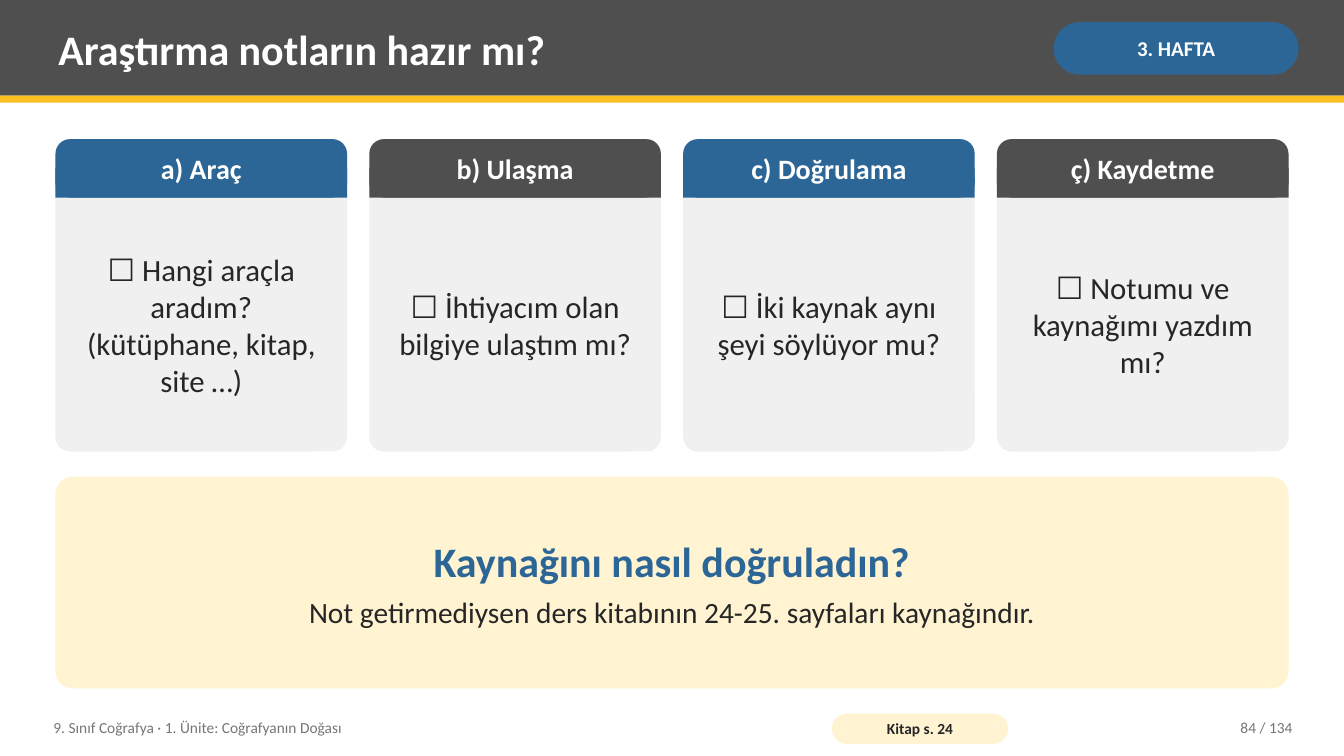
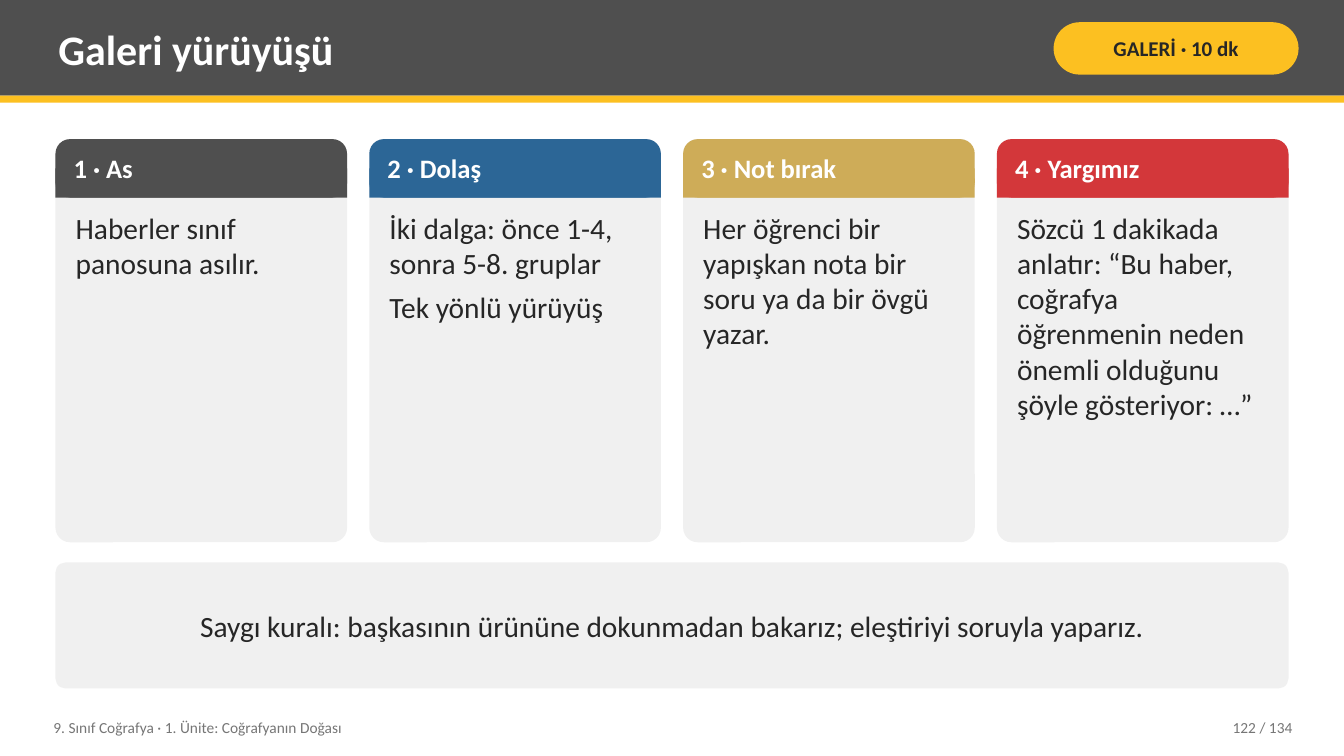
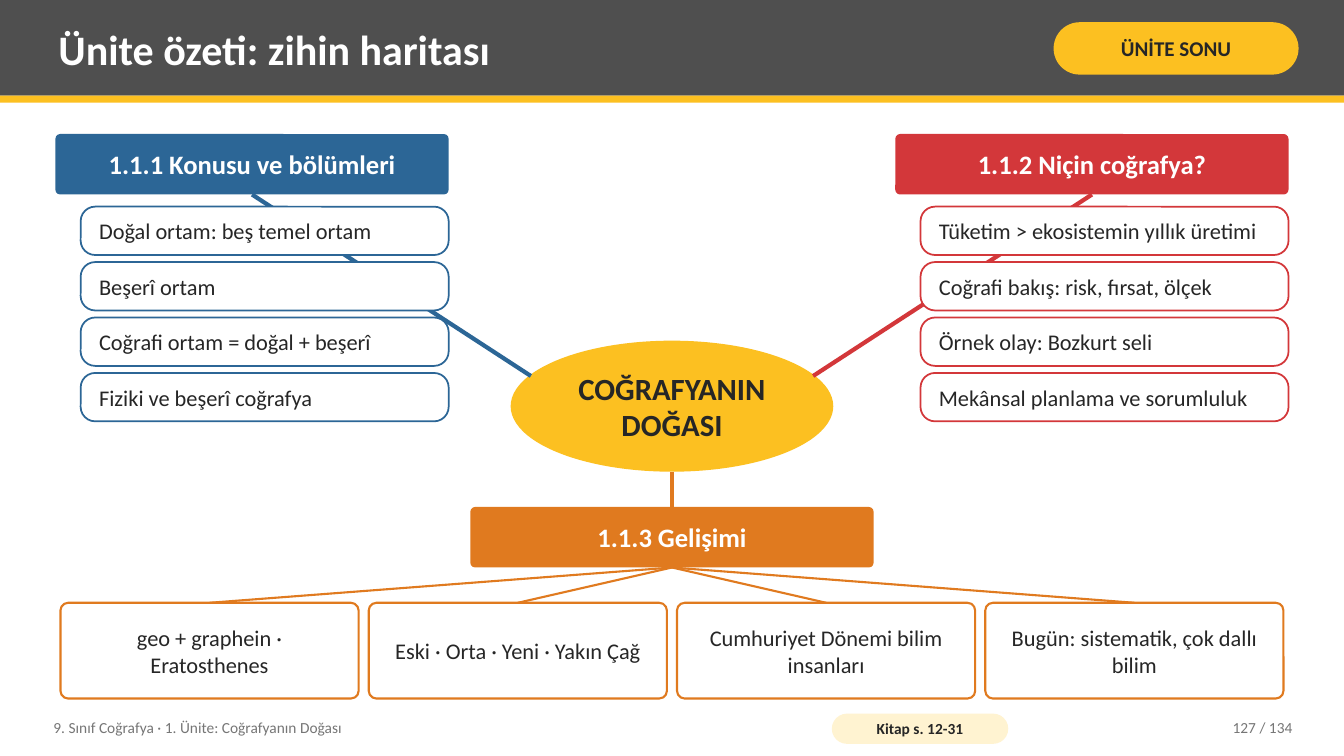
from dataclasses import dataclass

import pptx
import pptx.dml.color
import pptx.enum.shapes
import pptx.enum.text
import pptx.oxml.ns
import pptx.util
from lxml import etree

Inches = pptx.util.Inches
SHAPES = pptx.enum.shapes.MSO_SHAPE
ALIGN = pptx.enum.text.PP_ALIGN
ANCHOR = pptx.enum.text.MSO_ANCHOR

# Shared look
FONT = "Calibri"
DARK, BLUE, YELLOW, GOLD = "4F4F4F", "2C6696", "FCC021", "CEAC58"
RED, ORANGE, CREAM, PALE = "D3373A", "E07A1F", "FFF3D1", "F0F0F0"
WHITE, INK, MUTED = "FFFFFF", "262626", "767676"
SLIDE_WIDTH, SLIDE_HEIGHT = 13.33, 7.5
MARGIN = 0.55
CONTENT_WIDTH = 12.23
SLIDE_TOTAL = 134
COURSE = "9. Sınıf Coğrafya · 1. Ünite: Coğrafyanın Doğası"
BOX_INSET, LABEL_INSET = (0.14, 0.08), (0.08, 0.04)


@dataclass
class Line:
    text: str
    size: float
    color: str = INK
    bold: bool = False


def rgb(color):
    return pptx.dml.color.RGBColor.from_string(color)


def columns(left, width, count, gap):
    """Return the left edges and the common width of equal columns."""
    column_width = (width - gap * (count - 1)) / count
    return [left + i * (column_width + gap) for i in range(count)], column_width


def write(shape, lines, align=ALIGN.CENTER, anchor=ANCHOR.MIDDLE, inset=BOX_INSET):
    frame = shape.text_frame
    frame.word_wrap = True
    frame.vertical_anchor = anchor
    frame.margin_left = frame.margin_right = Inches(inset[0])
    frame.margin_top = frame.margin_bottom = Inches(inset[1])
    for i, line in enumerate(lines):
        paragraph = frame.add_paragraph() if i else frame.paragraphs[0]
        paragraph.text = line.text
        paragraph.alignment = align
        if i < len(lines) - 1:
            paragraph.space_after = pptx.util.Pt(6)
        paragraph.font.name = FONT
        paragraph.font.size = pptx.util.Pt(line.size)
        paragraph.font.bold = line.bold
        paragraph.font.color.rgb = rgb(line.color)


def add_box(slide, box, fill, radius=None, outline=None, outline_width=1.25,
            kind=SHAPES.ROUNDED_RECTANGLE):
    shape = slide.shapes.add_shape(kind, *map(Inches, box))
    shape.shadow.inherit = False
    shape.fill.solid()
    shape.fill.fore_color.rgb = rgb(fill)
    if outline:
        shape.line.color.rgb = rgb(outline)
        shape.line.width = pptx.util.Pt(outline_width)
    else:
        shape.line.fill.background()
    if radius is not None:
        shape.adjustments[0] = radius
    return shape


def add_label(slide, box, lines, align=ALIGN.LEFT, anchor=ANCHOR.MIDDLE):
    write(slide.shapes.add_textbox(*map(Inches, box)), lines, align, anchor, LABEL_INSET)


def add_line(slide, start, end, color, width):
    connector = slide.shapes.add_connector(
        pptx.enum.shapes.MSO_CONNECTOR.STRAIGHT, *map(Inches, start + end))
    connector.line.color.rgb = rgb(color)
    connector.line.width = pptx.util.Pt(width)
    etree.SubElement(connector.element.spPr, pptx.oxml.ns.qn("a:effectLst"))
    return connector


def add_frame(presentation, title, badge, badge_fill, number, book_pages=None):
    """Add a slide with title band, badge and footer."""
    slide = presentation.slides.add_slide(presentation.slide_layouts[6])
    # Title band
    add_box(slide, (0, 0, SLIDE_WIDTH, 0.95), DARK, kind=SHAPES.RECTANGLE)
    add_box(slide, (0, 0.95, SLIDE_WIDTH, 0.07), YELLOW, kind=SHAPES.RECTANGLE)
    add_label(slide, (0.5, 0.07, 9.75, 0.82), [Line(title, 30, WHITE, True)])
    badge_color = WHITE if badge_fill == BLUE else INK
    write(add_box(slide, (10.45, 0.22, 2.43, 0.52), badge_fill, 0.5),
          [Line(badge, 15, badge_color, True)], inset=(0.05, 0.02))
    # Footer
    add_label(slide, (0.45, 7.04, 7.6, 0.36), [Line(COURSE, 11, MUTED)])
    if book_pages:
        write(add_box(slide, (8.25, 7.08, 1.75, 0.3), CREAM, 0.5),
              [Line(f"Kitap s. {book_pages}", 11, INK, True)], inset=(0.04, 0))
    add_label(slide, (11.3, 7.04, 1.6, 0.36),
              [Line(f"{number} / {SLIDE_TOTAL}", 11, MUTED)], ALIGN.RIGHT)
    return slide


def add_card(slide, box, color, heading, body, align, anchor):
    left, top, width, height = box
    head = 0.58
    add_box(slide, box, PALE, 0.05)
    add_box(slide, (left, top, width, head), color, 0.25)
    add_box(slide, (left, top + head / 2, width, head / 2), color, kind=SHAPES.RECTANGLE)
    add_label(slide, (left + 0.1, top, width - 0.2, head), [heading], align)
    add_label(slide, (left + 0.12, top + head + 0.08, width - 0.24, height - head - 0.16),
              body, align, anchor)


def add_card_row(slide, height, cards, heading_size, body_size, align, anchor):
    lefts, width = columns(MARGIN, CONTENT_WIDTH, len(cards), 0.22)
    for left, (color, heading, *body) in zip(lefts, cards):
        add_card(slide, (left, 1.38, width, height), color,
                 Line(heading, heading_size, WHITE, True),
                 [Line(text, body_size) for text in body], align, anchor)


def add_callout(slide, top, height, fill, lines):
    write(add_box(slide, (MARGIN, top, CONTENT_WIDTH, height), fill, 0.08), lines)


def add_topic(slide, box, color, text):
    topic = add_box(slide, box, color, 0.08)
    write(topic, [Line(text, 19, WHITE, True)])
    return topic


def add_side_branch(slide, left, hub_point, color, title, items):
    """Add a topic, its stacked items and the line to the hub."""
    top, width, height = 1.33, 3.9, 0.6
    link = add_line(slide, hub_point, (left + width / 2, top + height), color, 3)
    link.end_connect(add_topic(slide, (left, top, width, height), color, title), 2)
    for i, text in enumerate(items):
        item_box = (left + 0.25, top + 0.72 + 0.55 * i, width - 0.25, 0.48)
        write(add_box(slide, item_box, WHITE, 0.3, color), [Line(text, 16)],
              ALIGN.LEFT, inset=(0.14, 0))


def add_bottom_branch(slide, box, hub_point, color, title, items):
    """Add a centred topic with a row of items fanned out below it."""
    left, top, width, height = box
    center, item_top = left + width / 2, top + 0.95
    link = add_line(slide, hub_point, (center, top), color, 3)
    topic = add_topic(slide, box, color, title)
    link.end_connect(topic, 0)
    lefts, item_width = columns(0.6, 12.13, len(items), 0.1)
    for item_left, text in zip(lefts, items):
        link = add_line(slide, (center, top + height),
                        (item_left + item_width / 2, item_top), color, 1.5)
        item = add_box(slide, (item_left, item_top, item_width, 0.95), WHITE, 0.08, color, 1.5)
        write(item, [Line(text, 16)])
        link.begin_connect(topic, 2)
        link.end_connect(item, 0)


def build_checklist(presentation):
    slide = add_frame(presentation, "Araştırma notların hazır mı?", "3. HAFTA", BLUE, 84, "24")
    add_card_row(slide, 3.1, [
        (BLUE, "a) Araç", "☐ Hangi araçla aradım? (kütüphane, kitap, site …)"),
        (DARK, "b) Ulaşma", "☐ İhtiyacım olan bilgiye ulaştım mı?"),
        (BLUE, "c) Doğrulama", "☐ İki kaynak aynı şeyi söylüyor mu?"),
        (DARK, "ç) Kaydetme", "☐ Notumu ve kaynağımı yazdım mı?"),
    ], 20, 22, ALIGN.CENTER, ANCHOR.MIDDLE)
    add_callout(slide, 4.73, 2.1, CREAM, [
        Line("Kaynağını nasıl doğruladın?", 30, BLUE, True),
        Line("Not getirmediysen ders kitabının 24-25. sayfaları kaynağındır.", 21),
    ])


def build_gallery(presentation):
    slide = add_frame(presentation, "Galeri yürüyüşü", "GALERİ · 10 dk", YELLOW, 122)
    add_card_row(slide, 4, [
        (DARK, "1 · As", "Haberler sınıf panosuna asılır."),
        (BLUE, "2 · Dolaş", "İki dalga: önce 1-4, sonra 5-8. gruplar", "Tek yönlü yürüyüş"),
        (GOLD, "3 · Not bırak", "Her öğrenci bir yapışkan nota bir soru ya da bir övgü yazar."),
        (RED, "4 · Yargımız", "Sözcü 1 dakikada anlatır: “Bu haber, coğrafya öğrenmenin "
                              "neden önemli olduğunu şöyle gösteriyor: …”"),
    ], 19, 21, ALIGN.LEFT, ANCHOR.TOP)
    add_callout(slide, 5.58, 1.25, PALE, [
        Line("Saygı kuralı: başkasının ürününe dokunmadan bakarız; "
             "eleştiriyi soruyla yaparız.", 21),
    ])


def build_mind_map(presentation):
    slide = add_frame(presentation, "Ünite özeti: zihin haritası", "ÜNİTE SONU", YELLOW,
                      127, "12-31")
    # Hub
    center = SLIDE_WIDTH / 2
    width, top, height = 3.2, 3.38, 1.3
    left = center - width / 2
    hub = add_box(slide, (left, top, width, height), YELLOW, kind=SHAPES.OVAL)
    write(hub, [Line("COĞRAFYANIN DOĞASI", 22, INK, True)])
    # Branches
    add_side_branch(slide, MARGIN, (left + 0.2, top + 0.35), BLUE, "1.1.1 Konusu ve bölümleri", [
        "Doğal ortam: beş temel ortam", "Beşerî ortam",
        "Coğrafi ortam = doğal + beşerî", "Fiziki ve beşerî coğrafya"])
    add_side_branch(slide, 8.88, (left + width - 0.2, top + 0.35), RED, "1.1.2 Niçin coğrafya?", [
        "Tüketim > ekosistemin yıllık üretimi", "Coğrafi bakış: risk, fırsat, ölçek",
        "Örnek olay: Bozkurt seli", "Mekânsal planlama ve sorumluluk"])
    add_bottom_branch(slide, (center - 2, 5.03, 4, 0.6), (center, top + height), ORANGE,
                      "1.1.3 Gelişimi", [
        "geo + graphein · Eratosthenes", "Eski · Orta · Yeni · Yakın Çağ",
        "Cumhuriyet Dönemi bilim insanları", "Bugün: sistematik, çok dallı bilim"])


def main():
    presentation = pptx.Presentation()
    presentation.slide_width = Inches(SLIDE_WIDTH)
    presentation.slide_height = Inches(SLIDE_HEIGHT)
    build_checklist(presentation)
    build_gallery(presentation)
    build_mind_map(presentation)
    presentation.save("out.pptx")


if __name__ == "__main__":
    main()
